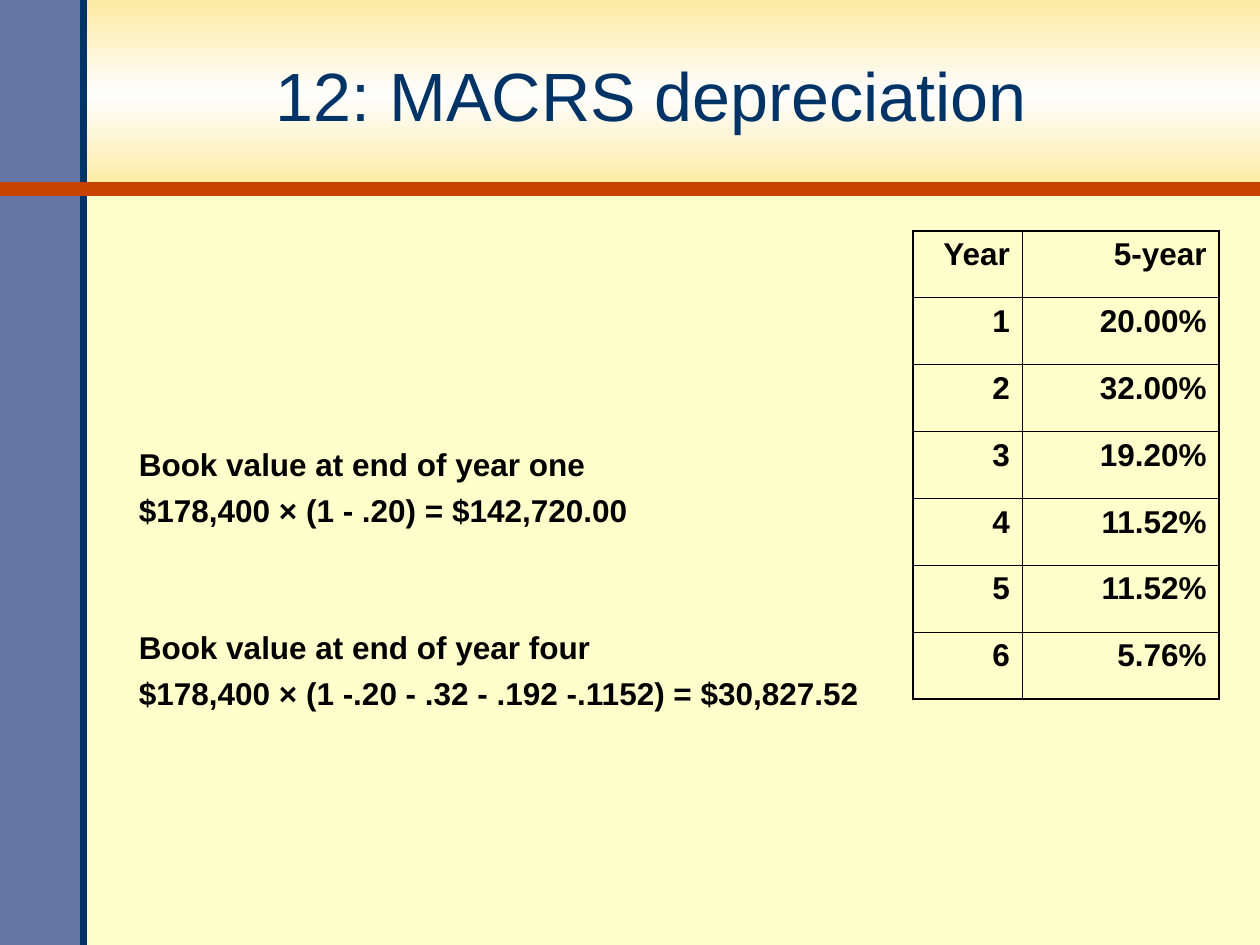
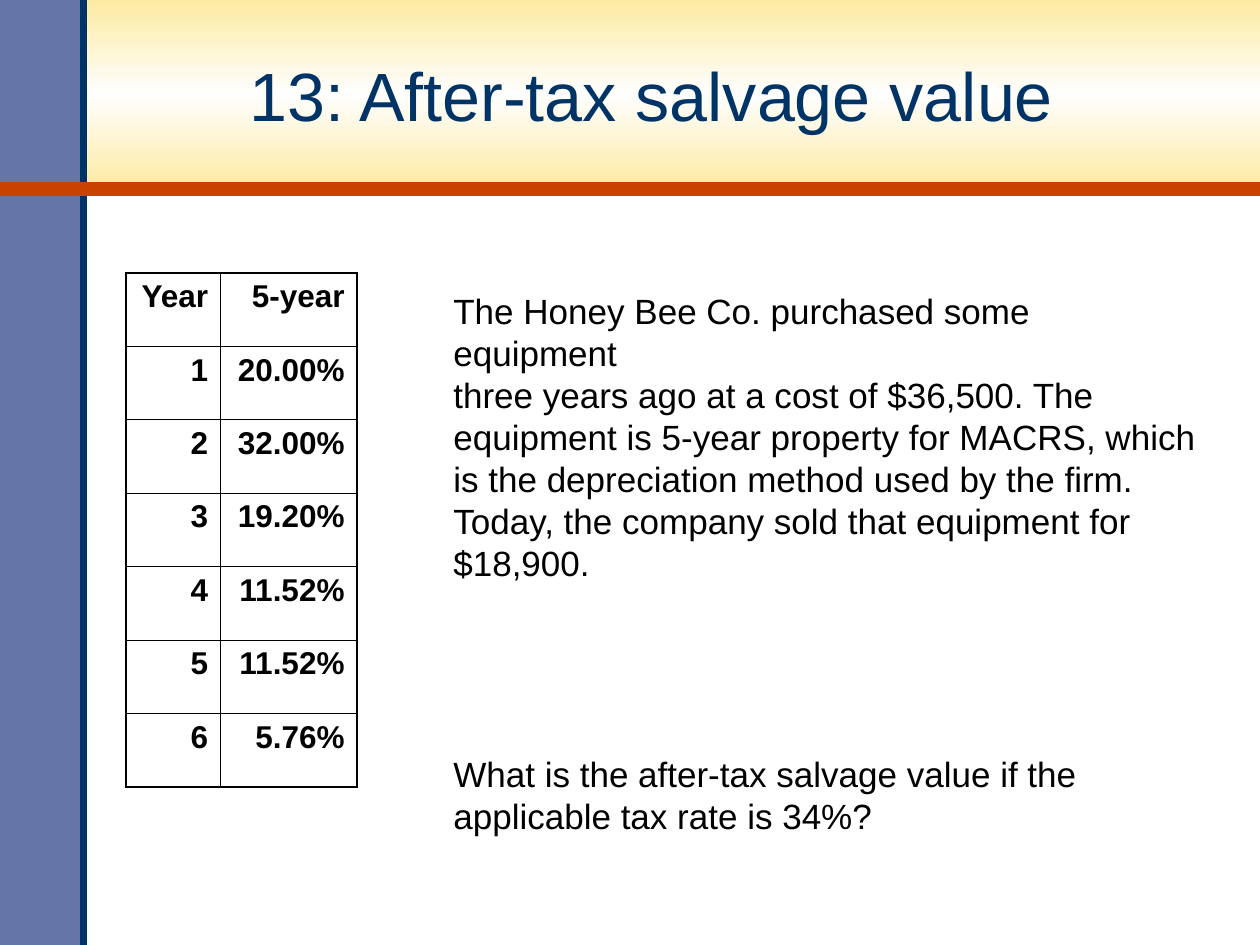
"""Build two finance slides on MACRS depreciation and after-tax salvage value."""
from copy import deepcopy
from dataclasses import dataclass

from lxml import etree
from pptx import Presentation
from pptx.dml.color import RGBColor
from pptx.enum.shapes import MSO_CONNECTOR, MSO_SHAPE
from pptx.enum.text import MSO_ANCHOR, MSO_AUTO_SIZE, PP_ALIGN
from pptx.oxml.ns import qn
from pptx.util import Cm, Pt

RECTANGLE = MSO_SHAPE.RECTANGLE
STRAIGHT = MSO_CONNECTOR.STRAIGHT
MIDDLE = MSO_ANCHOR.MIDDLE
NO_AUTOFIT = MSO_AUTO_SIZE.NONE
CENTER = PP_ALIGN.CENTER
RIGHT = PP_ALIGN.RIGHT

BLACK = RGBColor(0x00, 0x00, 0x00)
WHITE = RGBColor(0xFF, 0xFF, 0xFF)
CREAM = RGBColor(0xFF, 0xFF, 0xCC)
BAND_YELLOW = RGBColor(0xFD, 0xEB, 0xA1)
BAND_WHITE = RGBColor(0xFE, 0xFE, 0xFE)
SLATE = RGBColor(0x64, 0x75, 0xA6)
NAVY = RGBColor(0x00, 0x33, 0x66)
RUST = RGBColor(0xC8, 0x43, 0x00)

FONT = "Arial"
PAGE_WIDTH, PAGE_HEIGHT = Cm(25.4), Cm(19.05)
BAND_HEIGHT = Cm(3.81)
SIDEBAR_WIDTH = Cm(1.69)
TITLE_ONLY = 5
OUTER_BORDER, INNER_BORDER = Pt(1.08), Pt(0.45)
LINE_PITCH = 1.2

RATES = [
    ("Year", "5-year"),
    ("1", "20.00%"),
    ("2", "32.00%"),
    ("3", "19.20%"),
    ("4", "11.52%"),
    ("5", "11.52%"),
    ("6", "5.76%"),
]


@dataclass(frozen=True)
class Area:
    """A rectangle on the page."""

    left: int
    top: int
    width: int
    height: int


@dataclass(frozen=True)
class Line:
    """A straight coloured rule."""

    start: tuple[int, int]
    end: tuple[int, int]
    color: RGBColor
    weight: int


@dataclass(frozen=True)
class TextBlock:
    """Paragraphs, each with its space before in points."""

    area: Area
    size: float
    bold: bool
    left_inset: int
    top_inset: int
    paragraphs: tuple[tuple[str, float], ...]


@dataclass(frozen=True)
class PageContent:
    """Everything that differs between pages."""

    title: str
    background: RGBColor
    table_area: Area
    year_width: int
    text: TextBlock


TITLE_AREA = Area(Cm(1.65), Cm(0.38), Cm(22.96), Cm(3.05))
RULES = (
    Line((SIDEBAR_WIDTH, PAGE_HEIGHT), (SIDEBAR_WIDTH, 0), NAVY, Pt(4)),
    Line((0, BAND_HEIGHT), (PAGE_WIDTH, BAND_HEIGHT), RUST, Pt(8)),
)

PAGES = (
    PageContent(
        "12: MACRS depreciation",
        CREAM,
        Area(Cm(18.41), Cm(4.65), Cm(6.17), Cm(9.44)),
        Cm(2.2),
        TextBlock(
            Area(Cm(1.7), Cm(4.01), Cm(16.71), Cm(13.77)), 18, True, Cm(1.1), Cm(4.97),
            (
                ("Book value at end of year one", 0),
                ("$178,400 × (1 - .20) = $142,720.00", 4.5),
                ("Book value at end of year four", 56.7),
                ("$178,400 × (1 -.20 - .32 - .192 -.1152) = $30,827.52", 4.5),
            ),
        ),
    ),
    PageContent(
        "13: After-tax salvage value",
        WHITE,
        Area(Cm(2.54), Cm(5.5), Cm(4.66), Cm(10.36)),
        Cm(1.91),
        TextBlock(
            Area(Cm(8.89), Cm(5.72), Cm(15.6), Cm(12.12)), 20, False, Cm(0.25), Cm(0.12),
            (
                ("The Honey Bee Co. purchased some equipment", 0),
                ("three years ago at a cost of $36,500. The equipment is 5-year "
                 "property for MACRS, which is the depreciation method used by "
                 "the firm. Today, the company sold that equipment for $18,900.", 0),
                ("What is the after-tax salvage value if the applicable tax rate "
                 "is 34%?", 96.3),
            ),
        ),
    ),
)


def style_font(para, size: float, color: RGBColor, bold: bool = False) -> None:
    """Set the font of a whole paragraph."""
    font = para.font
    font.name, font.size, font.bold = FONT, Pt(size), bold
    font.color.rgb = color


def add_panel(page, area: Area):
    """Add a rectangle without outline or shadow."""
    panel = page.shapes.add_shape(RECTANGLE, area.left, area.top, area.width, area.height)
    panel.shadow.inherit = False
    panel.line.fill.background()
    return panel


def add_rule(page, rule: Line) -> None:
    """Add a straight rule without shadow."""
    connector = page.shapes.add_connector(STRAIGHT, *rule.start, *rule.end)
    connector.line.color.rgb = rule.color
    connector.line.width = rule.weight
    etree.SubElement(connector.element.spPr, qn("a:effectLst"))


def add_frame(page) -> None:
    """Draw the title band, the sidebar and the two rules."""
    band = add_panel(page, Area(0, 0, PAGE_WIDTH, BAND_HEIGHT))
    band.fill.gradient()
    band.fill.gradient_angle = 90
    stop_list = band.element.spPr.find(".//" + qn("a:gsLst"))
    stop_list.insert(1, deepcopy(stop_list[0]))
    stops = zip(band.fill.gradient_stops, (0, 0.5, 1), (BAND_YELLOW, BAND_WHITE, BAND_YELLOW))
    for stop, position, color in stops:
        stop.position = position
        stop.color.rgb = color
    sidebar = add_panel(page, Area(0, 0, SIDEBAR_WIDTH, PAGE_HEIGHT))
    sidebar.fill.solid()
    sidebar.fill.fore_color.rgb = SLATE
    for rule in RULES:
        add_rule(page, rule)


def place_title(page, text: str) -> None:
    """Fill the title placeholder and raise it above the band."""
    title = page.shapes.title
    title.left, title.top = TITLE_AREA.left, TITLE_AREA.top
    title.width, title.height = TITLE_AREA.width, TITLE_AREA.height
    frame = title.text_frame
    frame.text = text
    frame.auto_size = NO_AUTOFIT
    frame.vertical_anchor = MIDDLE
    para = frame.paragraphs[0]
    para.alignment = CENTER
    style_font(para, 39, NAVY)
    title.element.getparent().append(title.element)


def set_border(cell, side: str, weight: int) -> None:
    """Draw one black border of a table cell."""
    properties = cell._tc.get_or_add_tcPr()
    border = etree.SubElement(properties, qn(f"a:{side}"), w=str(weight))
    fill = etree.SubElement(border, qn("a:solidFill"))
    etree.SubElement(fill, qn("a:srgbClr"), val=str(BLACK))


def add_rate_table(page, area: Area, year_width: int) -> None:
    """Add the depreciation rates with a heavier outer border."""
    last_row, last_column = len(RATES) - 1, len(RATES[0]) - 1
    table = page.shapes.add_table(
        len(RATES), len(RATES[0]), area.left, area.top, area.width, area.height
    ).table
    table.first_row = table.horz_banding = False
    table.columns[0].width = year_width
    table.columns[1].width = area.width - year_width
    for row, values in enumerate(RATES):
        for column, value in enumerate(values):
            cell = table.cell(row, column)
            cell.text = value
            para = cell.text_frame.paragraphs[0]
            para.alignment = RIGHT
            style_font(para, 18, BLACK, True)
            outer_sides = {
                "lnL": column == 0,
                "lnR": column == last_column,
                "lnT": row == 0,
                "lnB": row == last_row,
            }
            for side, is_outer in outer_sides.items():
                set_border(cell, side, OUTER_BORDER if is_outer else INNER_BORDER)
            cell.fill.background()


def add_text(page, block: TextBlock) -> None:
    """Add a wrapped text box with even line pitch."""
    area = block.area
    box = page.shapes.add_textbox(area.left, area.top, area.width, area.height)
    frame = box.text_frame
    frame.word_wrap = True
    frame.margin_left = block.left_inset
    frame.margin_top = block.top_inset
    for index, (text, space_before) in enumerate(block.paragraphs):
        para = frame.add_paragraph() if index else frame.paragraphs[0]
        para.text = text
        para.line_spacing = Pt(block.size * LINE_PITCH)
        if space_before:
            para.space_before = Pt(space_before)
        style_font(para, block.size, BLACK, block.bold)


def add_page(deck, content: PageContent) -> None:
    """Add one complete page."""
    page = deck.slides.add_slide(deck.slide_layouts[TITLE_ONLY])
    page.background.fill.solid()
    page.background.fill.fore_color.rgb = content.background
    add_frame(page)
    place_title(page, content.title)
    add_rate_table(page, content.table_area, content.year_width)
    add_text(page, content.text)


def main() -> None:
    """Build and save the deck."""
    deck = Presentation()
    deck.slide_width, deck.slide_height = PAGE_WIDTH, PAGE_HEIGHT
    for content in PAGES:
        add_page(deck, content)
    deck.save("out.pptx")


if __name__ == "__main__":
    main()
